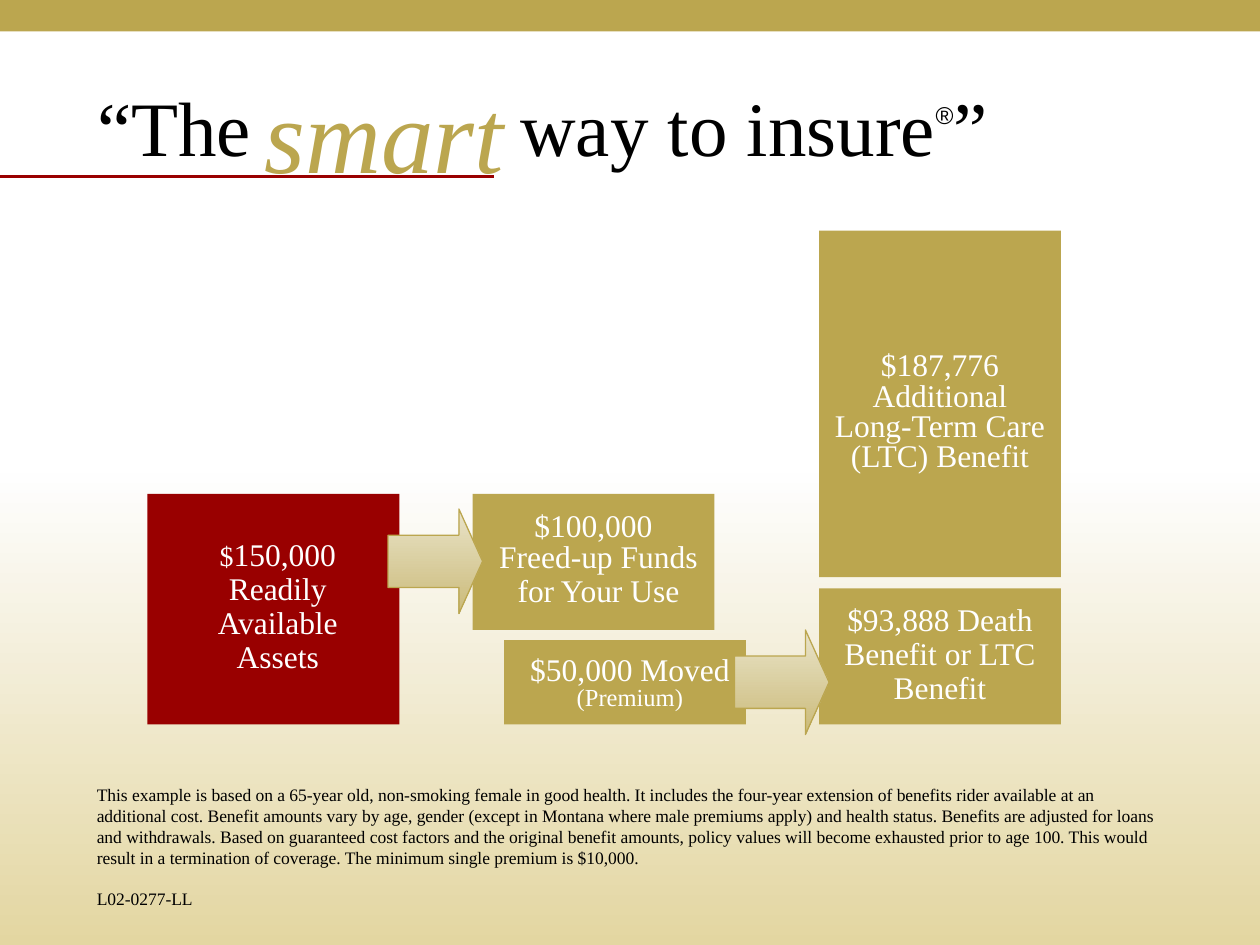
import pptx
import pptx.util
import pptx.dml.color
import pptx.enum.shapes
import pptx.enum.text
import pptx.oxml

Inches = pptx.util.Inches
Pt = pptx.util.Pt
Kind = pptx.enum.shapes.MSO_SHAPE
Align = pptx.enum.text.PP_ALIGN
GOLD, RED, WHITE, BLACK = "BBA64F", "990000", "FFFFFF", "000000"
SPACE = 'xmlns:a="http://schemas.openxmlformats.org/drawingml/2006/main"'


def color(text):
    return pptx.dml.color.RGBColor.from_string(text)


def apply(item, values):
    for name, value in values.items():
        setattr(item, name, value)


class Deck:
    face = "Times New Roman"

    def __init__(self, slide):
        self.slide = slide

    def place(self, place):
        return [Inches(size) for size in place]

    def shape(self, place, fill, kind=Kind.RECTANGLE, edge=None):
        item = self.slide.shapes.add_shape(kind, *self.place(place))
        item.shadow.inherit = False
        if isinstance(fill, tuple):
            item.fill.gradient()
            item.fill.gradient_angle = 270
            for stop, tone in zip(item.fill.gradient_stops, fill):
                stop.color.rgb = color(tone)
        else:
            item.fill.solid()
            item.fill.fore_color.rgb = color(fill)
        if edge:
            item.line.color.rgb = color(edge)
            item.line.width = Pt(0.75)
        else:
            item.line.fill.background()
        return item

    def arrow(self, left, top):
        item = self.shape((left, top, 0.75, 0.83), ("E9E3C9", "CBBB79"),
                          Kind.RIGHT_ARROW, GOLD)
        item.adjustments[0], item.adjustments[1] = 0.5, 0.25

    def rule(self, start, end, tone):
        line = self.slide.shapes.add_connector(
            pptx.enum.shapes.MSO_CONNECTOR.STRAIGHT, *self.place(start + end))
        line.line.color.rgb = color(tone)
        line.line.width = Pt(1.5)
        line._element.spPr.append(pptx.oxml.parse_xml(f"<a:effectLst {SPACE}/>"))

    def words(self, item, runs, tone=BLACK, align=Align.LEFT, space=1.0, top=0.05):
        frame = item.text_frame
        apply(frame, {
            "word_wrap": True,
            "auto_size": pptx.enum.text.MSO_AUTO_SIZE.NONE,
            "vertical_anchor": pptx.enum.text.MSO_ANCHOR.TOP,
            "margin_left": Inches(0.1), "margin_right": Inches(0.1),
            "margin_top": Inches(top), "margin_bottom": Inches(0.05)})
        para = frame.paragraphs[0]
        apply(para, {"alignment": align, "line_spacing": space})
        for text, size, *more in runs:
            run = para.add_run()
            run.text = text
            apply(run.font, {"name": self.face, "size": Pt(size)})
            run.font.color.rgb = color(tone)
            if more:
                apply(run.font, more[0])
        return para

    def text(self, place, runs, **style):
        box = self.slide.shapes.add_textbox(*self.place(place))
        return self.words(box, runs, **style)

    def label(self, place, runs, space=0.9):
        self.text(place, runs, tone=WHITE, align=Align.CENTER, space=space)

    def title(self, place, runs, tab):
        item = self.slide.shapes.title
        apply(item, dict(zip(("left", "top", "width", "height"), self.place(place))))
        para = self.words(item, runs)
        para._p.get_or_add_pPr().append(pptx.oxml.parse_xml(
            f'<a:tabLst {SPACE}><a:tab pos="{Inches(tab)}" algn="l"/></a:tabLst>'))
        para.runs[1]._r.get_or_add_rPr().set("baseline", "76000")


def main():
    show = pptx.Presentation()
    apply(show, {"slide_width": Inches(10), "slide_height": Inches(7.5)})
    deck = Deck(show.slides.add_slide(show.slide_layouts[5]))

    deck.shape((0, 3.75, 10, 3.75), ("FEFEFE", "E3D6A1"))
    deck.shape((0, 0, 10, 0.25), GOLD)
    deck.rule((0, 1.4), (3.92, 1.4), RED)
    deck.title((0.67, 0.58, 8.83, 0.84), [
        ("“The\tway to insure", 44),
        ("®", 24, {"name": "Arial"}),
        ("”", 44)], 3.36)
    deck.text((2, 0.4, 2.5, 1.1), [("smart", 60, {"italic": True})],
              tone=GOLD, top=0.14)

    deck.shape((1.17, 3.92, 2, 1.83), RED)
    deck.label((1.33, 4.23, 1.75, 1.18), [
        ("$", 16), ("150,000 Readily Available Assets", 18)])

    deck.shape((4, 5.08, 1.92, 0.67), GOLD)
    deck.shape((3.75, 3.92, 1.92, 1.08), GOLD)
    deck.label((3.75, 4.25, 2, 1.1), [("Freed-up Funds for Your Use", 18)])
    deck.arrow(3.08, 4.04)
    deck.label((4, 5.17, 2, 0.53), [("$50,000 Moved ", 18), ("(Premium)", 14)], 0.8)
    deck.label((3.75, 4, 1.92, 0.37), [("$100,000", 18)])

    deck.shape((6.5, 4.67, 1.92, 1.08), GOLD)
    deck.shape((6.5, 1.83, 1.92, 2.75), GOLD)
    deck.label((6.5, 2.75, 1.92, 1.06), [
        ("$187,776 Additional Long-Term Care (LTC) Benefit", 18)], 0.8)
    deck.label((6.5, 4.75, 1.92, 0.91), [("$93,888 Death Benefit or LTC Benefit", 18)])
    deck.arrow(5.83, 5)

    deck.text((0.67, 6.17, 8.67, 0.77), [(
        "This example is based on a 65-year old, non-smoking female in good health. "
        "It includes the four-year extension of benefits rider available at an "
        "additional cost. Benefit amounts vary by age, gender (except in Montana "
        "where male premiums apply) and health status. Benefits are adjusted for "
        "loans and withdrawals. Based on guaranteed cost factors and the original "
        "benefit amounts, policy values will become exhausted prior to age 100. "
        "This would result in a termination of coverage. The minimum single "
        "premium is $10,000.", 10)])
    deck.text((0.67, 7, 1.5, 0.33), [("L02-0277-LL", 10)])
    show.save("out.pptx")


if __name__ == "__main__":
    main()
